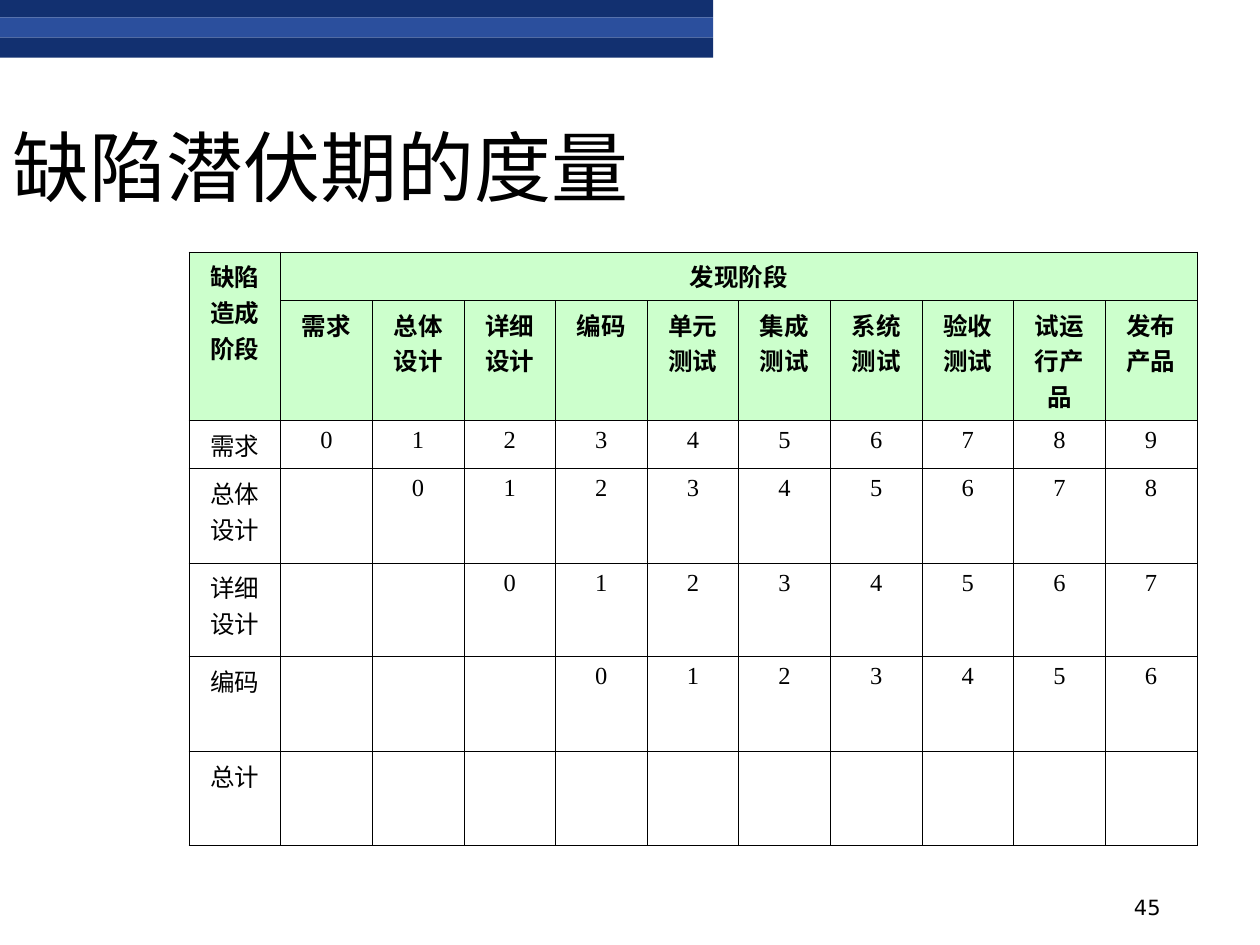
from lxml.etree import SubElement
from pptx import Presentation
from pptx.dml.color import RGBColor
from pptx.enum.shapes import MSO_SHAPE
from pptx.enum.text import MSO_ANCHOR, MSO_AUTO_SIZE, PP_ALIGN
from pptx.oxml.ns import qn
from pptx.util import Pt

COLORS = {"navy": "123070", "blue": "2B4F9D", "green": "CCFFCC", "black": "000000"}
PHASES = ["需求", "总体\n设计", "详细\n设计", "编码", "单元\n测试", "集成\n测试",
          "系统\n测试", "验收\n测试", "试运\n行产\n品", "发布\n产品"]
CAUSES = PHASES[:4]
ROW_HEIGHTS = [26, 57.6, 26, 54, 53.5, 54, 54]


def rgb(name):
    return RGBColor.from_string(COLORS[name])


def format_text(tf, size, font, align, bold=False):
    for p in tf.paragraphs:
        p.alignment = align
        for r in p.runs:
            r.font.size = Pt(size)
            r.font.name = font
            r.font.bold = bold
            r.font.color.rgb = rgb("black")


def add_bar(s, top, height, color):
    sp = s.shapes.add_shape(MSO_SHAPE.RECTANGLE, 0, Pt(top), Pt(407.5), Pt(height))
    sp.shadow.inherit = False
    sp.fill.solid()
    sp.fill.fore_color.rgb = rgb(color)
    sp.line.fill.background()


def set_title(s, text):
    sp = s.shapes.title
    sp.left, sp.top, sp.width, sp.height = 0, Pt(48.2), Pt(605.5), Pt(77)
    tf = sp.text_frame
    tf.text = text
    tf.auto_size = MSO_AUTO_SIZE.NONE
    tf.vertical_anchor = MSO_ANCHOR.BOTTOM
    tf.paragraphs[0].line_spacing = 0.9
    format_text(tf, 44, "Calibri", PP_ALIGN.LEFT)


def add_page_number(s, text):
    sp = s.shapes.add_textbox(Pt(508.3), Pt(500.4), Pt(162), Pt(28.8))
    tf = sp.text_frame
    tf.word_wrap = True
    tf.vertical_anchor = MSO_ANCHOR.BOTTOM
    tf.text = text
    format_text(tf, 12, "DejaVu Sans", PP_ALIGN.RIGHT)


def add_borders(cell):
    tc_pr = cell._tc.get_or_add_tcPr()
    for side in ("a:lnL", "a:lnR", "a:lnT", "a:lnB"):
        ln = SubElement(tc_pr, qn(side), w=str(Pt(0.45)))
        fill = SubElement(ln, qn("a:solidFill"))
        SubElement(fill, qn("a:srgbClr"), val=COLORS["black"])


def fill_cell(cell, text, header):
    add_borders(cell)
    if header:
        cell.fill.solid()
        cell.fill.fore_color.rgb = rgb("green")
    else:
        cell.fill.background()
    if text:
        cell.text_frame.text = text
        format_text(cell.text_frame, 14, "Times New Roman", PP_ALIGN.CENTER, header)


def latency_rows():
    # A defect's latency is the number of phases between cause and discovery
    count = len(PHASES)
    rows = [["缺陷\n造成\n阶段", "发现阶段"] + [""] * (count - 1), [""] + PHASES]
    for i, cause in enumerate(CAUSES):
        rows.append([cause] + [str(j - i) if j >= i else "" for j in range(count)])
    return rows + [["总计"] + [""] * count]


def add_latency_table(s):
    rows = latency_rows()
    frame = s.shapes.add_table(len(rows), len(rows[0]), Pt(108), Pt(144),
                               Pt(576), Pt(sum(ROW_HEIGHTS)))
    table = frame.table
    table.first_row = table.horz_banding = False
    for row, height in zip(table.rows, ROW_HEIGHTS):
        row.height = Pt(height)
    for i, values in enumerate(rows):
        for j, text in enumerate(values):
            fill_cell(table.cell(i, j), text, header=i < 2)
    table.cell(0, 0).merge(table.cell(1, 0))
    table.cell(0, 1).merge(table.cell(0, len(PHASES)))


def main():
    prs = Presentation()
    prs.slide_width, prs.slide_height = Pt(720), Pt(540)
    s = prs.slides.add_slide(prs.slide_layouts[5])

    # Header band
    for top, height, color in [(0, 10, "navy"), (10, 11.5, "blue"), (21.5, 11.5, "navy")]:
        add_bar(s, top, height, color)

    # Title, table and page number
    set_title(s, "缺陷潜伏期的度量")
    add_latency_table(s)
    add_page_number(s, "45")
    prs.save("out.pptx")


if __name__ == "__main__":
    main()
